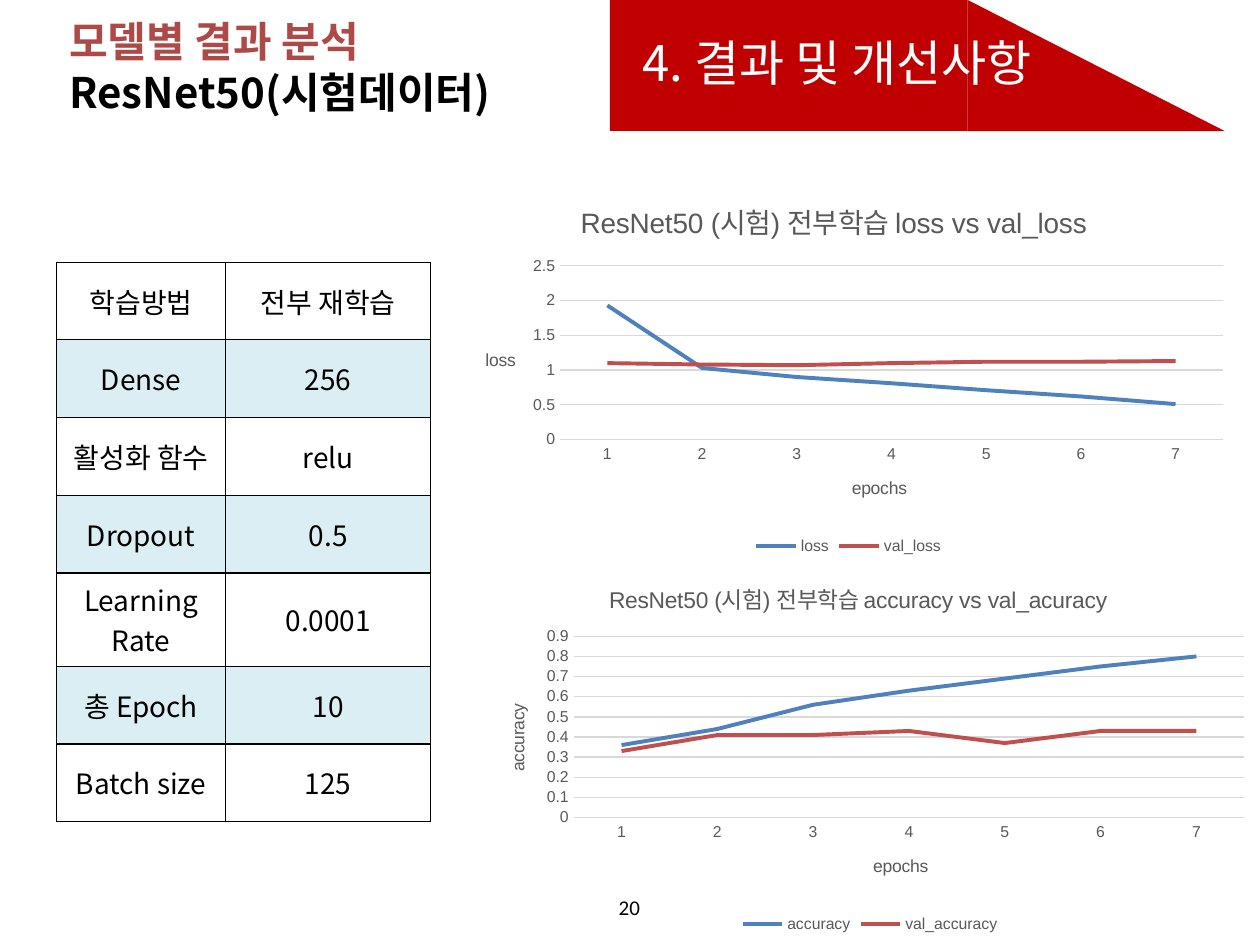
from dataclasses import dataclass

from lxml.etree import SubElement
from pptx import Presentation
from pptx.chart.data import CategoryChartData as ChartData
from pptx.dml.color import RGBColor
from pptx.enum.chart import XL_CHART_TYPE as Kind, XL_LEGEND_POSITION as Spot
from pptx.enum.chart import XL_TICK_MARK as Tick
from pptx.enum.shapes import MSO_SHAPE as Shape
from pptx.enum.text import MSO_ANCHOR as Anchor, PP_ALIGN as Align
from pptx.oxml import parse_xml
from pptx.oxml.ns import nsdecls, qn
from pptx.util import Inches, Pt

HUE = {"red": "C00000", "rose": "AD4A48", "black": "000000", "white": "FFFFFF",
       "teal": "4BACC6", "grey": "595959", "rule": "D9D9D9",
       "blue": "4F81BD", "brick": "C0504D"}
NOTO, ARIAL, PLAIN = "Noto Sans CJK KR", "Arial", "Calibri"
COLS, ROWS = 100, 75  # slide grid
WIDE, HIGH = Inches(10), Inches(7.5)


@dataclass
class Box:
    x: float
    y: float
    w: float
    h: float

    def span(self) -> tuple:
        return (int(WIDE * self.x / COLS), int(HIGH * self.y / ROWS),
                int(WIDE * self.w / COLS), int(HIGH * self.h / ROWS))


@dataclass
class Graph:
    box: Box
    title: str
    size: int
    label: str
    turn: int      # rotation of the value label, in degrees
    top: float
    step: float
    lines: dict
    plot: tuple    # shares of the chart: x, y, width, height
    spots: tuple   # places of title, category label, value label


GRAPHS = (
    Graph(Box(36.4, 14.5, 61.9, 30), "ResNet50 (시험) 전부학습 loss vs val_loss", 16,
          "loss", 0, 2.5, 0.5,
          {"loss": (1.93, 1.03, 0.9, 0.81, 0.71, 0.62, 0.51),
           "val_loss": (1.1, 1.08, 1.07, 1.1, 1.12, 1.12, 1.13)},
          (0.13, 0.22, 0.85, 0.46), ((0.15, 0.03), (0.5, 0.77), (0.03, 0.43))),
    Graph(Box(38.1, 44.5, 61.9, 30), "ResNet50 (시험) 전부학습 accuracy vs val_acuracy", 13,
          "accuracy", -90, 0.9, 0.1,
          {"accuracy": (0.36, 0.44, 0.56, 0.63, 0.69, 0.75, 0.8),
           "val_accuracy": (0.33, 0.41, 0.41, 0.43, 0.37, 0.43, 0.43)},
          (0.12, 0.2, 0.86, 0.48), ((0.16, 0.04), (0.5, 0.77), (0.03, 0.37))),
)

CELLS = (("학습방법", "전부 재학습"), ("Dense", "256"), ("활성화 함수", "relu"),
         ("Dropout", "0.5"), ("Learning Rate", "0.0001"), ("총 Epoch", "10"),
         ("Batch size", "125"))
LOW, TALL = 6.17, 7.4  # heights of rows with one and two text lines
HEIGHTS = [TALL if row[0] == "Learning Rate" else LOW for row in CELLS]


def tint(name: str) -> RGBColor:
    return RGBColor.from_string(HUE[name])


def style(font, size: float, hue: str, face: str, bold: bool = False) -> None:
    font.size, font.name, font.bold = Pt(size), face, bold
    font.color.rgb = tint(hue)


def band(slide, kind, box: Box) -> None:
    shape = slide.shapes.add_shape(kind, *box.span())
    shape.shadow.inherit = False
    shape.fill.solid()
    shape.fill.fore_color.rgb = tint("red")
    shape.line.fill.background()


def note(slide, box: Box, text: str, size: float, hue: str, face: str,
         align=Align.LEFT, anchor=Anchor.TOP) -> None:
    frame = slide.shapes.add_textbox(*box.span()).text_frame
    frame.word_wrap, frame.vertical_anchor = True, anchor
    para = frame.paragraphs[0]
    para.text, para.alignment = text, align
    style(para.font, size, hue, face)


def head(slide, box: Box) -> None:
    title = slide.shapes.title
    title.left, title.top, title.width, title.height = box.span()
    title.text_frame.vertical_anchor = Anchor.MIDDLE
    para = title.text_frame.paragraphs[0]
    para.alignment = Align.LEFT
    run = para.add_run()
    run.text = "모델별 결과 분석"
    style(run.font, 24, "rose", ARIAL, True)
    para.add_line_break()
    run = para.add_run()
    run.text = "ResNet50(시험데이터)"
    style(run.font, 24, "black", NOTO, True)


def edge(cell) -> None:
    props = cell._tc.get_or_add_tcPr()
    for side in ("lnL", "lnR", "lnT", "lnB"):
        line = SubElement(props, qn(f"a:{side}"), w=str(Pt(0.75)))
        fill = SubElement(line, qn("a:solidFill"))
        SubElement(fill, qn("a:srgbClr"), val=HUE["black"])


def grid(slide, box: Box, widths: tuple) -> None:
    table = slide.shapes.add_table(len(CELLS), len(widths), *box.span()).table
    table.first_row = table.horz_banding = False
    for col, width in zip(table.columns, widths):
        col.width = int(WIDE * width / COLS)
    for row, height in zip(table.rows, HEIGHTS):
        row.height = int(HIGH * height / ROWS)
    for r, row in enumerate(CELLS):
        for c, text in enumerate(row):
            cell = table.cell(r, c)
            cell.vertical_anchor = Anchor.MIDDLE
            edge(cell)
            if r % 2:
                cell.fill.solid()
                cell.fill.fore_color.rgb = tint("teal")
                color = cell._tc.tcPr.find(qn("a:solidFill"))[0]
                SubElement(color, qn("a:alpha"), val="20000")
            else:
                cell.fill.background()
            para = cell.text_frame.paragraphs[0]
            para.text, para.alignment = text, Align.CENTER
            style(para.font, 16, "black", NOTO)


def place(node, spot: tuple) -> None:
    """Give a chart part a fixed place, in shares of the chart."""
    for old in node.findall(qn("c:layout")):
        node.remove(old)
    inner = '<c:layoutTarget val="inner"/>' if len(spot) == 4 else ""
    modes = '<c:xMode val="edge"/><c:yMode val="edge"/>'
    marks = "".join(f'<c:{k} val="{v}"/>' for k, v in zip("xywh", spot))
    item = parse_xml(f'<c:layout {nsdecls("c")}><c:manualLayout>{inner}{modes}'
                     f'{marks}</c:manualLayout></c:layout>')
    text = node.find(qn("c:tx"))
    if text is None:
        node.insert(0, item)
    else:
        text.addnext(item)


def name(title, text: str, size: float, spot: tuple, turn: int = 0) -> None:
    frame = title.text_frame
    frame.text = text
    frame._txBody.bodyPr.set("rot", str(turn * 60000))
    style(frame.paragraphs[0].font, size, "grey", ARIAL)
    place(title._element, spot)


def plot(slide, graph: Graph) -> None:
    data = ChartData()
    data.categories = [str(n) for n in range(1, 8)]
    for key, vals in graph.lines.items():
        data.add_series(key, vals)
    chart = slide.shapes.add_chart(Kind.LINE, *graph.box.span(), data).chart
    style(chart.font, 10, "black", ARIAL)
    chart.plots[0].vary_by_categories = False
    cat, val = chart.category_axis, chart.value_axis

    # Titles and legend
    first, second, third = graph.spots
    name(chart.chart_title, graph.title, graph.size, first)
    name(cat.axis_title, "epochs", 10, second)
    name(val.axis_title, graph.label, 10, third, graph.turn)
    chart.has_legend = True
    chart.legend.position, chart.legend.include_in_layout = Spot.BOTTOM, False
    style(chart.legend.font, 9, "grey", ARIAL)

    # Axes
    for axis in (cat, val):
        axis.major_tick_mark = axis.minor_tick_mark = Tick.NONE
        style(axis.tick_labels.font, 9, "grey", ARIAL)
    val.minimum_scale, val.maximum_scale, val.major_unit = 0, graph.top, graph.step
    val.format.line.fill.background()
    for line in (cat.format.line, val.major_gridlines.format.line):
        line.color.rgb, line.width = tint("rule"), Pt(0.75)

    # Lines
    for item, hue in zip(chart.plots[0].series, ("blue", "brick")):
        item.smooth = False
        item.format.line.color.rgb = tint(hue)
        item.format.line.width = Pt(2.25)
    place(chart._chartSpace.chart.plotArea, graph.plot)


def main() -> None:
    deck = Presentation()
    deck.slide_width, deck.slide_height = WIDE, HIGH
    slide = deck.slides.add_slide(deck.slide_layouts[5])
    # Banner and headings
    band(slide, Shape.RECTANGLE, Box(48.4, 0, 28.4, 10.4))
    band(slide, Shape.RIGHT_TRIANGLE, Box(76.8, 0, 20.4, 10.4))
    head(slide, Box(4.5, 0.9, 39.6, 8.7))
    note(slide, Box(50, 2.1, 34.6, 5.7), "4. 결과 및 개선사항", 28, "white", NOTO)
    # Settings and results
    grid(slide, Box(4.5, 20.8, 29.7, sum(HEIGHTS)), (13.4, 16.3))
    for graph in GRAPHS:
        plot(slide, graph)
    # Page number
    note(slide, Box(47.8, 70.5, 4.3, 3), "20", 12, "black", PLAIN,
         Align.CENTER, Anchor.MIDDLE)
    deck.save("out.pptx")


if __name__ == "__main__":
    main()
